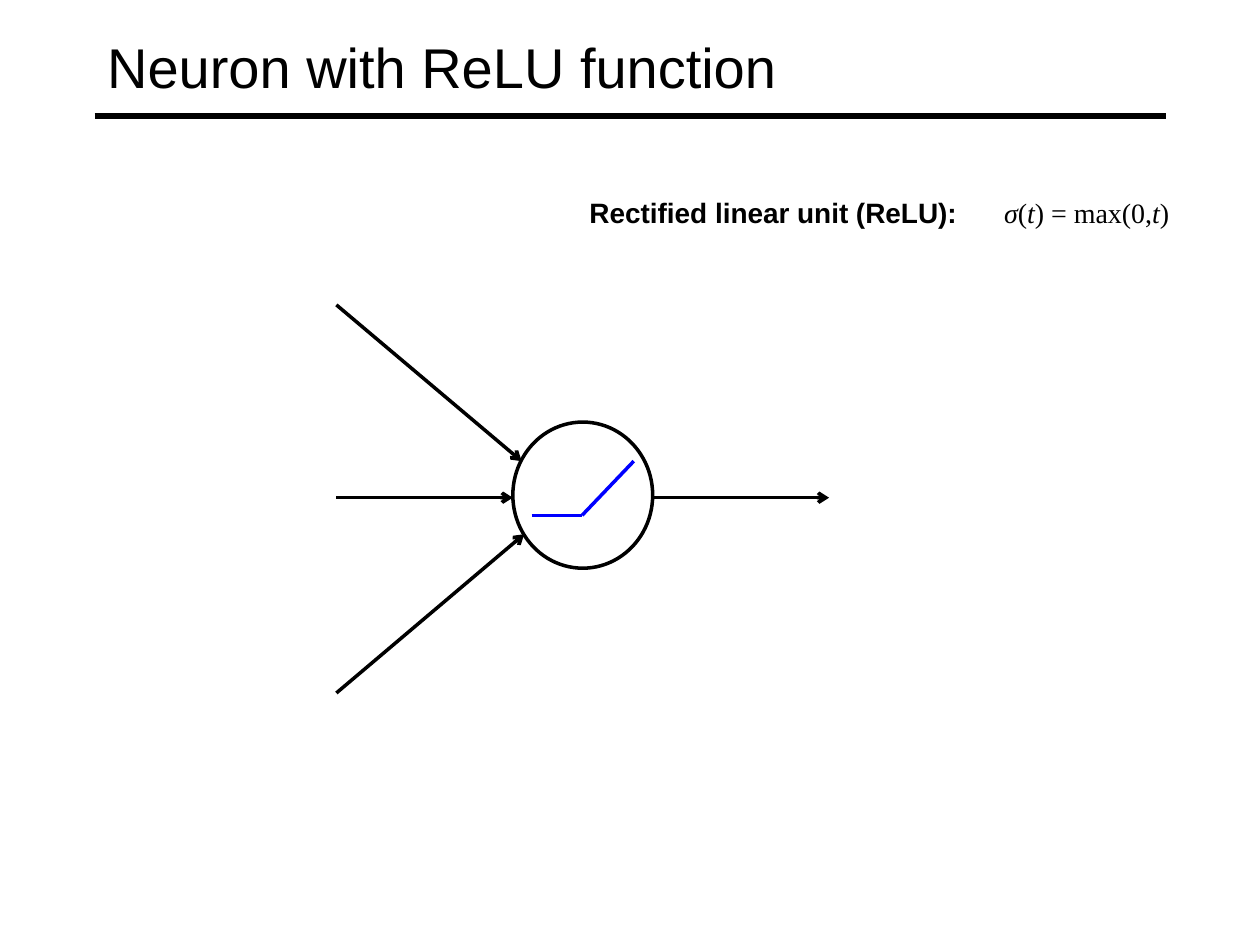
from typing import NamedTuple

from lxml import etree
from pptx import Presentation
from pptx.dml.color import RGBColor
from pptx.enum.shapes import MSO_CONNECTOR, MSO_SHAPE
from pptx.enum.text import MSO_ANCHOR, MSO_AUTO_SIZE, PP_ALIGN
from pptx.oxml.ns import qn
from pptx.util import Inches, Pt

STRAIGHT = MSO_CONNECTOR.STRAIGHT
OVAL = MSO_SHAPE.OVAL
MIDDLE = MSO_ANCHOR.MIDDLE
FIXED = MSO_AUTO_SIZE.NONE
LEFT = PP_ALIGN.LEFT

BLACK = RGBColor(0, 0, 0)
BLUE = RGBColor(0, 0, 255)


class Line(NamedTuple):
    x1: float
    y1: float
    x2: float
    y2: float
    color: RGBColor = BLACK
    width: float = 2
    arrow: bool = False


class Part(NamedTuple):
    text: str
    italic: bool = False


RULE = Line(0.75, 0.92, 9.25, 0.92, width=3)
ARROWS = [
    Line(2.67, 2.42, 4.14, 3.66, arrow=True),
    Line(2.67, 3.95, 4.07, 3.95, arrow=True),
    Line(2.67, 5.5, 4.16, 4.24, arrow=True),
    Line(5.18, 3.95, 6.58, 3.95, arrow=True),
]
RELU = [
    Line(4.22, 4.09, 4.62, 4.09, BLUE),
    Line(4.62, 4.09, 5.03, 3.66, BLUE),
]
FORMULA = [
    Part("σ", True),
    Part("("),
    Part("t", True),
    Part(") = max(0,"),
    Part("t", True),
    Part(")"),
]


def draw_line(shapes, line: Line) -> None:
    ends = [Inches(n) for n in line[:4]]
    link = shapes.add_connector(STRAIGHT, *ends)
    link.line.color.rgb = line.color
    link.line.width = Pt(line.width)
    if line.arrow:
        tail = etree.SubElement(link.line._get_or_add_ln(), qn("a:tailEnd"))
        tail.set("type", "arrow")
    etree.SubElement(link._element.spPr, qn("a:effectLst"))


def draw_title(slide) -> None:
    title = slide.shapes.title
    title.left, title.top = Inches(0.75), Inches(0.4)
    title.width, title.height = Inches(9), Inches(0.25)
    frame = title.text_frame
    frame.text = "Neuron with ReLU function"
    frame.auto_size = FIXED
    frame.vertical_anchor = MIDDLE
    para = frame.paragraphs[0]
    para.alignment = LEFT
    para.font.name = "Arial"
    para.font.size = Pt(32)
    para.font.color.rgb = BLACK


def draw_neuron(slide) -> None:
    group = slide.shapes.add_group_shape()
    cell = group.shapes.add_shape(
        OVAL, Inches(4.07), Inches(3.35), Inches(1.11), Inches(1.16)
    )
    cell.shadow.inherit = False
    cell.fill.background()
    cell.line.color.rgb = BLACK
    cell.line.width = Pt(2)
    for arrow in ARROWS:
        draw_line(group.shapes, arrow)

    curve = slide.shapes.add_group_shape()
    for line in RELU:
        draw_line(curve.shapes, line)


def draw_formula(slide) -> None:
    """Write the label and, at a tab stop, the formula."""
    box = slide.shapes.add_textbox(
        Inches(4.58), Inches(1.5), Inches(4.98), Inches(0.37)
    )
    box.text_frame.word_wrap = True
    para = box.text_frame.paragraphs[0]
    para.alignment = LEFT
    tabs = etree.SubElement(para._p.get_or_add_pPr(), qn("a:tabLst"))
    stop = etree.SubElement(tabs, qn("a:tab"))
    stop.set("pos", str(Inches(3.29)))
    stop.set("algn", "l")
    para.font.size = Pt(16)
    para.font.color.rgb = BLACK

    label = para.add_run()
    label.text = "Rectified linear unit (ReLU):\t"
    label.font.name = "Arial"
    label.font.bold = True
    for part in FORMULA:
        run = para.add_run()
        run.text = part.text
        run.font.name = "Times New Roman"
        run.font.italic = part.italic


def main() -> None:
    deck = Presentation()
    deck.slide_width, deck.slide_height = Inches(10), Inches(7.5)
    slide = deck.slides.add_slide(deck.slide_layouts[5])
    draw_line(slide.shapes, RULE)
    draw_title(slide)
    draw_neuron(slide)
    draw_formula(slide)
    deck.save("out.pptx")


if __name__ == "__main__":
    main()
